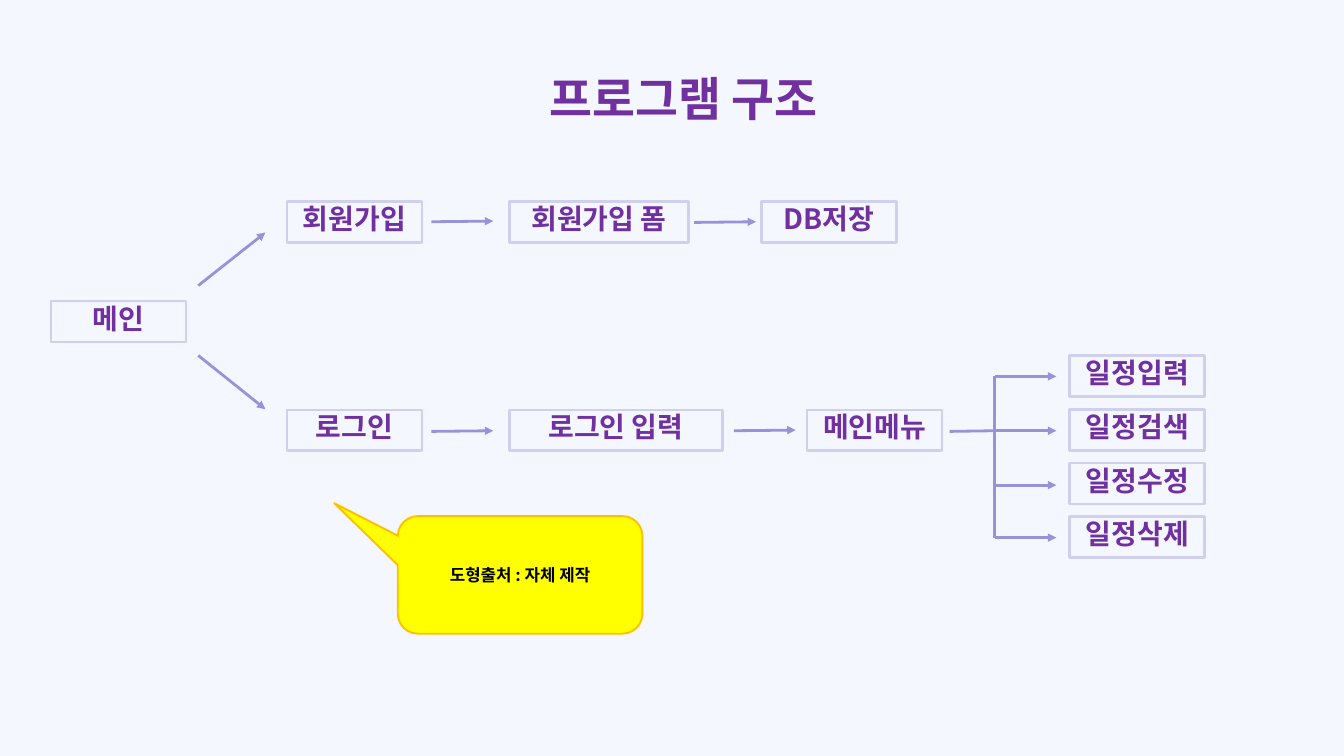
from dataclasses import dataclass

from pptx import Presentation
from pptx.dml.color import RGBColor
from pptx.enum.shapes import MSO_CONNECTOR, MSO_SHAPE
from pptx.enum.text import MSO_ANCHOR, MSO_AUTO_SIZE, PP_ALIGN
from pptx.oxml.ns import qn
from pptx.util import Inches, Pt
from lxml import etree

RECTANGLE = MSO_SHAPE.RECTANGLE
CALLOUT = MSO_SHAPE.ROUNDED_RECTANGULAR_CALLOUT
STRAIGHT = MSO_CONNECTOR.STRAIGHT
TOP, MIDDLE = MSO_ANCHOR.TOP, MSO_ANCHOR.MIDDLE
FIT_SHAPE = MSO_AUTO_SIZE.SHAPE_TO_FIT_TEXT
CENTER = PP_ALIGN.CENTER


@dataclass(frozen=True)
class Theme:
    font: str = "Noto Sans CJK KR"
    background: str = "F5F7FF"
    text: str = "7030A0"
    border: str = "D1CFEE"
    arrow: str = "9893D9"
    note_fill: str = "FFFF00"
    note_border: str = "FFC000"
    note_text: str = "000000"
    title_size: int = 50
    node_size: int = 30
    note_size: int = 18
    line_width: int = 3
    note_line_width: int = 2


class FlowSlide:
    def __init__(self, deck, theme):
        self.theme = theme
        self.slide = deck.slides.add_slide(deck.slide_layouts[6])
        self.shapes = self.slide.shapes
        fill = self.slide.background.fill
        fill.solid()
        fill.fore_color.rgb = RGBColor.from_string(theme.background)

    def set_text(self, box, text, size, color, frame_format):
        frame = box.text_frame
        for name, value in frame_format.items():
            setattr(frame, name, value)
        para = frame.paragraphs[0]
        para.alignment = CENTER
        span = para.add_run()
        span.text = text
        font_format = {"name": self.theme.font, "size": Pt(size), "bold": True}
        for name, value in font_format.items():
            setattr(span.font, name, value)
        span.font.color.rgb = RGBColor.from_string(color)
        # Hangul takes its typeface from the East Asian font slot
        east_asian = etree.SubElement(span.font._element, qn("a:ea"))
        east_asian.set("typeface", self.theme.font)

    def outline(self, line, color, width):
        line.color.rgb = RGBColor.from_string(color)
        line.width = Pt(width)

    def title(self, text, *place):
        box = self.shapes.add_textbox(*map(Inches, place))
        self.set_text(box, text, self.theme.title_size, self.theme.text,
                      {"word_wrap": True, "vertical_anchor": MIDDLE})

    def node(self, text, left, top, width=2.01, height=0.61):
        box = self.shapes.add_shape(RECTANGLE, *map(Inches, (left, top, width, height)))
        box.shadow.inherit = False
        box.fill.background()
        self.outline(box.line, self.theme.border, self.theme.line_width)
        self.set_text(box, text, self.theme.node_size, self.theme.text,
                      {"word_wrap": True, "vertical_anchor": TOP, "auto_size": FIT_SHAPE,
                       "margin_top": 0, "margin_bottom": 0})

    def line(self, *ends, arrow=True):
        connector = self.shapes.add_connector(STRAIGHT, *map(Inches, ends))
        self.outline(connector.line, self.theme.arrow, self.theme.line_width)
        properties = connector._element.spPr
        if arrow:
            tail = etree.SubElement(properties.find(qn("a:ln")), qn("a:tailEnd"))
            tail.set("type", "triangle")
        etree.SubElement(properties, qn("a:effectLst"))

    def note(self, text, place, adjustments):
        box = self.shapes.add_shape(CALLOUT, *map(Inches, place))
        box.shadow.inherit = False
        for index, value in enumerate(adjustments):
            box.adjustments[index] = value
        box.fill.solid()
        box.fill.fore_color.rgb = RGBColor.from_string(self.theme.note_fill)
        self.outline(box.line, self.theme.note_border, self.theme.note_line_width)
        self.set_text(box, text, self.theme.note_size, self.theme.note_text,
                      {"word_wrap": True, "vertical_anchor": MIDDLE})


def main():
    deck = Presentation()
    deck.slide_width, deck.slide_height = Inches(20), Inches(11.25)
    page = FlowSlide(deck, Theme())
    page.title("프로그램 구조", 4.42, 0.73, 11.5, 1.45)

    join_top, login_top = 3, 6.1
    page.node("메인", 0.76, 4.48)
    page.node("회원가입", 4.27, join_top)
    page.node("회원가입 폼", 7.58, join_top, 2.67)
    page.node("DB저장", 11.33, join_top)
    page.node("로그인", 4.27, login_top)
    page.node("로그인 입력", 7.58, login_top, 3.17)
    page.node("메인메뉴", 12.01, login_top)

    page.line(2.95, 4.25, 3.95, 3.46)
    page.line(2.95, 5.29, 3.95, 6.09)
    arrow_length = 0.92
    for left, middle in ((6.42, 3.3), (10.33, 3.31), (6.42, 6.42), (10.92, 6.41)):
        page.line(left, middle, left + arrow_length, middle - 0.01)

    trunk = 14.8
    menu_items = ("일정입력", "일정검색", "일정수정", "일정삭제")
    branches = (5.6, 6.41, 7.22, 8)
    for row, (text, middle) in enumerate(zip(menu_items, branches)):
        page.node(text, 15.92, 5.29 + 0.8 * row)
        page.line(trunk, middle, trunk + arrow_length, middle)
    page.line(trunk, branches[0], trunk, branches[-1], arrow=False)
    page.line(14.13, 6.42, trunk, 6.41, arrow=False)

    page.note("도형출처 : 자체 제작", (5.92, 7.68, 3.64, 1.75), (-0.76, -0.61, 0.17))
    deck.save("out.pptx")


if __name__ == "__main__":
    main()
